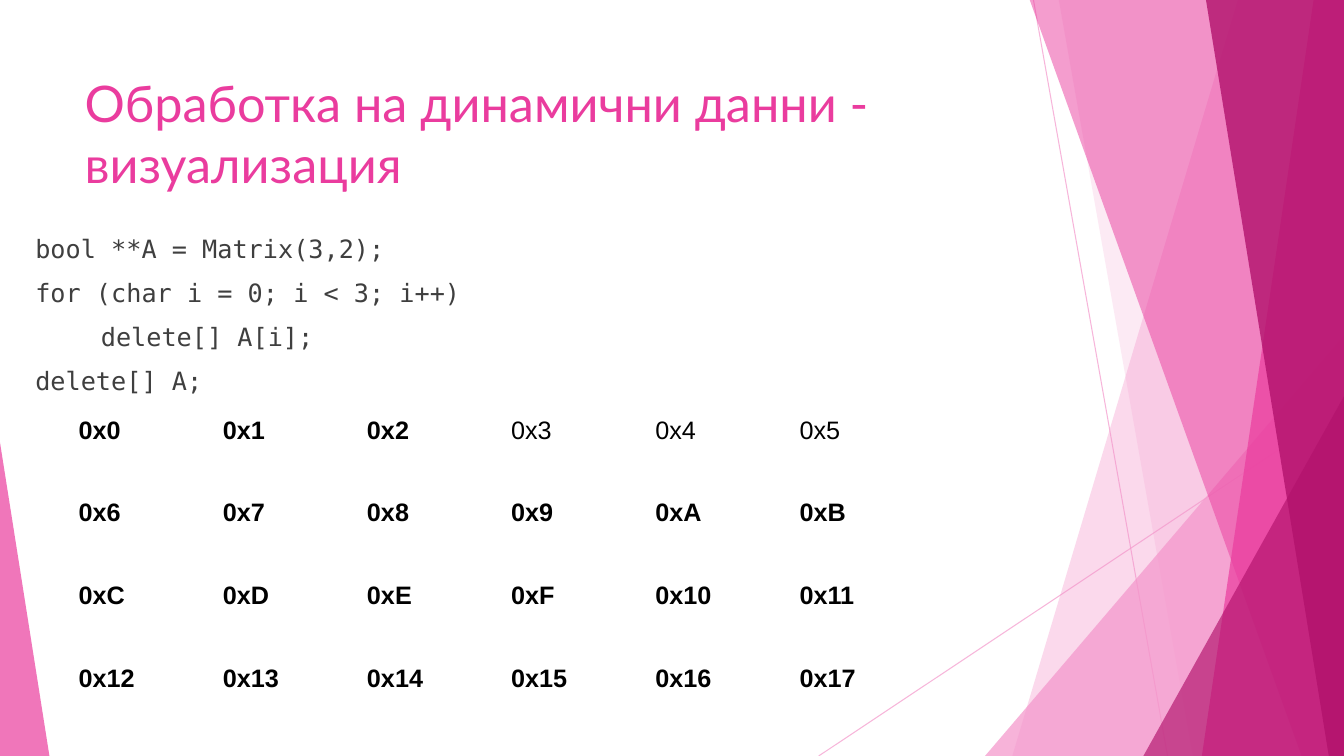
"""Build a slide on releasing a dynamic matrix, with a table of memory addresses."""
import lxml.etree
import pptx
import pptx.dml.color
import pptx.enum.shapes
import pptx.enum.text
import pptx.oxml.ns
import pptx.util

LIGHT_PINK = pptx.dml.color.RGBColor(0xF4, 0x96, 0xCB)
PINK = pptx.dml.color.RGBColor(0xEA, 0x3C, 0x9E)
MAGENTA = pptx.dml.color.RGBColor(0xB2, 0x12, 0x6C)
CODE_GRAY = pptx.dml.color.RGBColor(0x3F, 0x3F, 0x3F)
BLACK = pptx.dml.color.RGBColor(0, 0, 0)

CELL = pptx.util.Inches(0.01)
COLUMNS, ROWS = 1333, 750
NO_GRID_STYLE = "{2D5ABB26-0587-4C30-8999-92F81FD0307C}"

RAYS = [((1025, 0), (1158, ROWS)), ((COLUMNS, 403), (812, ROWS))]
BANDS_AND_CORNERS = [
    ("band", (1228, 1004), LIGHT_PINK, 36),
    ("band", (1050, 1183), LIGHT_PINK, 20),
    ("corner", (977, COLUMNS, 333, 1), LIGHT_PINK, 72),
    ("band", (1021, 1291), PINK, 50),
    ("band", (1303, 1192), PINK, 70),
    ("band", (1196, 1318), MAGENTA, 80),
    ("corner", (1134, COLUMNS, 393, 1), MAGENTA, 66),
    ("corner", (0, 49, 439, 0), PINK, 70),
]
CODE_LINES = [
    "bool **A = Matrix(3,2);",
    "for (char i = 0; i < 3; i++)",
    "\t delete[] A[i];",
    "delete[] A;",
]
ADDRESS_COLUMNS, ADDRESS_ROWS = 6, 4
FREED_ADDRESSES = (3, 4, 5)


def set_color(fill, color, opacity):
    fill.solid()
    fill.fore_color.rgb = color
    for color_element in fill._xPr.iter(pptx.oxml.ns.qn("a:srgbClr")):
        alpha = lxml.etree.SubElement(color_element, pptx.oxml.ns.qn("a:alpha"))
        alpha.set("val", str(opacity * 1000))


def add_run(paragraph, text, font_name, size, color, bold=False):
    run = paragraph.add_run()
    run.text = text
    run.font.name = font_name
    run.font.size = pptx.util.Pt(size)
    run.font.color.rgb = color
    run.font.bold = bold


presentation = pptx.Presentation()
presentation.slide_width = COLUMNS * CELL
presentation.slide_height = ROWS * CELL
slide = presentation.slides.add_slide(presentation.slide_layouts[1])

for start, end in RAYS:
    ray = slide.shapes.add_connector(
        pptx.enum.shapes.MSO_CONNECTOR.STRAIGHT,
        *(length * CELL for length in start + end))
    ray.line.width = pptx.util.Pt(0.75)
    set_color(ray.line.fill, LIGHT_PINK, 70)
    lxml.etree.SubElement(ray.element.spPr, pptx.oxml.ns.qn("a:effectLst"))

for kind, edges, color, opacity in BANDS_AND_CORNERS:
    if kind == "band":
        top_edge, bottom_edge = edges
        builder = slide.shapes.build_freeform(top_edge, -1, scale=CELL)
        builder.add_line_segments([(COLUMNS, -1), (COLUMNS, ROWS), (bottom_edge, ROWS)])
        shape = builder.convert_to_shape()
    else:
        left, right, top, apex = edges
        shape = slide.shapes.add_shape(
            pptx.enum.shapes.MSO_SHAPE.ISOSCELES_TRIANGLE,
            left * CELL, top * CELL, (right - left) * CELL, (ROWS - top) * CELL)
        shape.adjustments[0] = apex
    shape.shadow.inherit = False
    set_color(shape.fill, color, opacity)
    shape.line.fill.background()

title, body = slide.placeholders
for placeholder, left, top, height in ((title, 74, 67, 144), (body, 25, 226, 424)):
    placeholder.left, placeholder.top = left * CELL, top * CELL
    placeholder.width, placeholder.height = 940 * CELL, height * CELL
    placeholder.text_frame.word_wrap = True
    placeholder.text_frame.auto_size = pptx.enum.text.MSO_AUTO_SIZE.NONE
    placeholder.text_frame.vertical_anchor = pptx.enum.text.MSO_ANCHOR.TOP
    placeholder.element.getparent().append(placeholder.element)

heading = title.text_frame.paragraphs[0]
heading.alignment = pptx.enum.text.PP_ALIGN.LEFT
add_run(heading, "Обработка на динамични данни - визуализация", "Lato", 36, PINK)

for index, code_line in enumerate(CODE_LINES):
    paragraph = body.text_frame.add_paragraph() if index else body.text_frame.paragraphs[0]
    properties = paragraph._p.get_or_add_pPr()
    properties.set("marL", "0")
    properties.set("indent", "0")
    paragraph.space_before = pptx.util.Pt(10 if index else 0)
    lxml.etree.SubElement(properties, pptx.oxml.ns.qn("a:buNone"))
    add_run(paragraph, code_line, "DejaVu Sans Mono", 18, CODE_GRAY)

frame = slide.shapes.add_table(
    2 * ADDRESS_ROWS, ADDRESS_COLUMNS, 68 * CELL, 408 * CELL, 874 * CELL, 328 * CELL)
table = frame.table
table.first_row = False
table.horz_banding = False
frame.element.find(".//" + pptx.oxml.ns.qn("a:tableStyleId")).text = NO_GRID_STYLE
for index, column in enumerate(table.columns):
    column.width = (159 if index == ADDRESS_COLUMNS - 1 else 143) * CELL
for cell in table.iter_cells():
    cell.fill.background()
for address in range(ADDRESS_ROWS * ADDRESS_COLUMNS):
    row, column = divmod(address, ADDRESS_COLUMNS)
    paragraph = table.cell(2 * row, column).text_frame.paragraphs[0]
    add_run(paragraph, f"0x{address:X}", "Arial", 18, BLACK, address not in FREED_ADDRESSES)

presentation.save("out.pptx")
